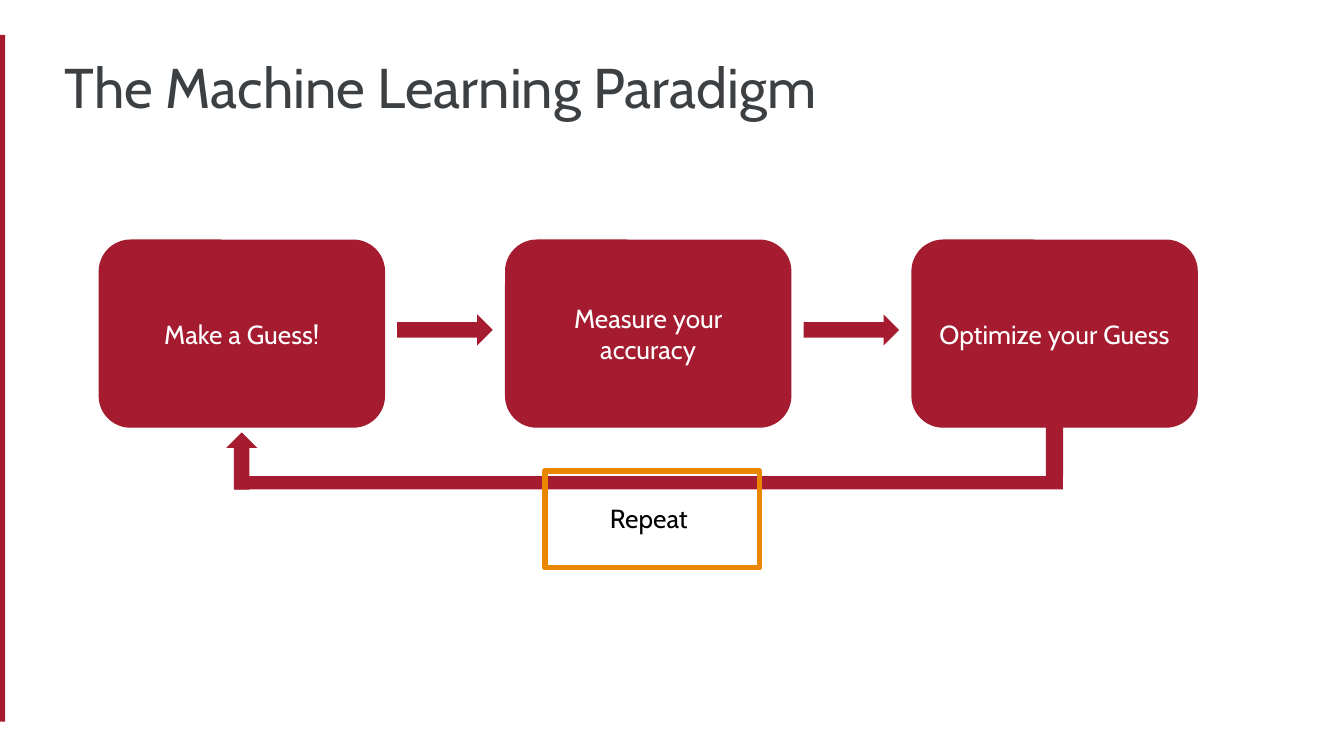
from pptx import Presentation
from pptx.dml.color import RGBColor
from pptx.enum.shapes import MSO_SHAPE as Shape
from pptx.enum.text import MSO_ANCHOR as Anchor, MSO_AUTO_SIZE as AutoSize, PP_ALIGN as Align
from pptx.util import Pt

# Content
TITLE = "The Machine Learning Paradigm"
STEPS = ["Make a Guess!", "Measure your accuracy", "Optimize your Guess"]
LOOP_LABEL = "Repeat"

# Style
FONT = "Cabin"
CRIMSON, ORANGE, GREY, WHITE, BLACK = "A51C30", "EA8600", "3C4043", "FFFFFF", "000000"

# Geometry in points
STEP_LEFT, STEP_TOP, STEP_WIDTH, STEP_HEIGHT = 53.2, 128.7, 152.7, 100.1
PITCH = 217.7
ARROW_WIDTH, ARROW_HEIGHT = 51.2, 16.6
LOOP_LEFT, LOOP_RIGHT, LOOP_TOP, LOOP_HEIGHT = 125.7, 569.5, 255.1, 7.2
STEM_WIDTH = 9.2
RETURN_LENGTH = 30.6


def color(value):
    return RGBColor.from_string(value)


def add_block(kind, left, top, width, height, fill=None, line=None, weight=0.75):
    block = page.shapes.add_shape(kind, Pt(left), Pt(top), Pt(width), Pt(height))
    block.shadow.inherit = False
    if fill:
        block.fill.solid()
        block.fill.fore_color.rgb = color(fill)
    else:
        block.fill.background()
    if line:
        block.line.color.rgb = color(line)
        block.line.width = Pt(weight)
    else:
        block.line.fill.background()
    return block


def write(box, text, size, ink, align=Align.CENTER, anchor=Anchor.MIDDLE):
    frame = box.text_frame
    frame.word_wrap = True
    frame.auto_size = AutoSize.NONE
    frame.vertical_anchor = anchor
    frame.margin_left = frame.margin_right = Pt(7.2)
    frame.margin_top = frame.margin_bottom = Pt(7.2)
    para = frame.paragraphs[0]
    para.alignment = align
    span = para.add_run()
    span.text = text
    span.font.name = FONT
    span.font.size = Pt(size)
    span.font.color.rgb = color(ink)


deck = Presentation()
deck.slide_width, deck.slide_height = Pt(720), Pt(405)
page = deck.slides.add_slide(deck.slide_layouts[5])

# Side bar and title
add_block(Shape.RECTANGLE, -1.5, 18.7, 4.3, 368, CRIMSON)
title = page.shapes.title
title.left, title.top, title.width, title.height = Pt(27.4), Pt(20.9), Pt(614), Pt(32.4)
write(title, TITLE, 30, GREY, Align.LEFT, Anchor.TOP)

# Steps, with an arrow centred in each gap
for index, step in enumerate(STEPS):
    left = STEP_LEFT + index * PITCH
    box = add_block(Shape.ROUNDED_RECTANGLE, left, STEP_TOP, STEP_WIDTH, STEP_HEIGHT,
                    CRIMSON, CRIMSON)
    write(box, step, 14, WHITE)
    if index < len(STEPS) - 1:
        gap = PITCH - STEP_WIDTH
        add_block(Shape.RIGHT_ARROW, left + STEP_WIDTH + (gap - ARROW_WIDTH) / 2,
                  STEP_TOP + 48.1 - ARROW_HEIGHT / 2, ARROW_WIDTH, ARROW_HEIGHT, CRIMSON)

# Loop back from the last step to the first
step_bottom = STEP_TOP + STEP_HEIGHT
add_block(Shape.UP_ARROW, STEP_LEFT + STEP_WIDTH / 2 - ARROW_HEIGHT / 2,
          LOOP_TOP + LOOP_HEIGHT - RETURN_LENGTH, ARROW_HEIGHT, RETURN_LENGTH, CRIMSON)
add_block(Shape.RECTANGLE, LOOP_LEFT, LOOP_TOP, LOOP_RIGHT - LOOP_LEFT, LOOP_HEIGHT, CRIMSON)
add_block(Shape.RECTANGLE, LOOP_RIGHT - STEM_WIDTH, step_bottom, STEM_WIDTH,
          LOOP_TOP - step_bottom, CRIMSON)

# Loop label and its highlight frame
label = page.shapes.add_textbox(Pt(310.1), Pt(262.3), Pt(75), Pt(31))
write(label, LOOP_LABEL, 14, BLACK)
add_block(Shape.RECTANGLE, 291.9, 252.2, 115, 52, line=ORANGE, weight=3)

deck.save("out.pptx")
